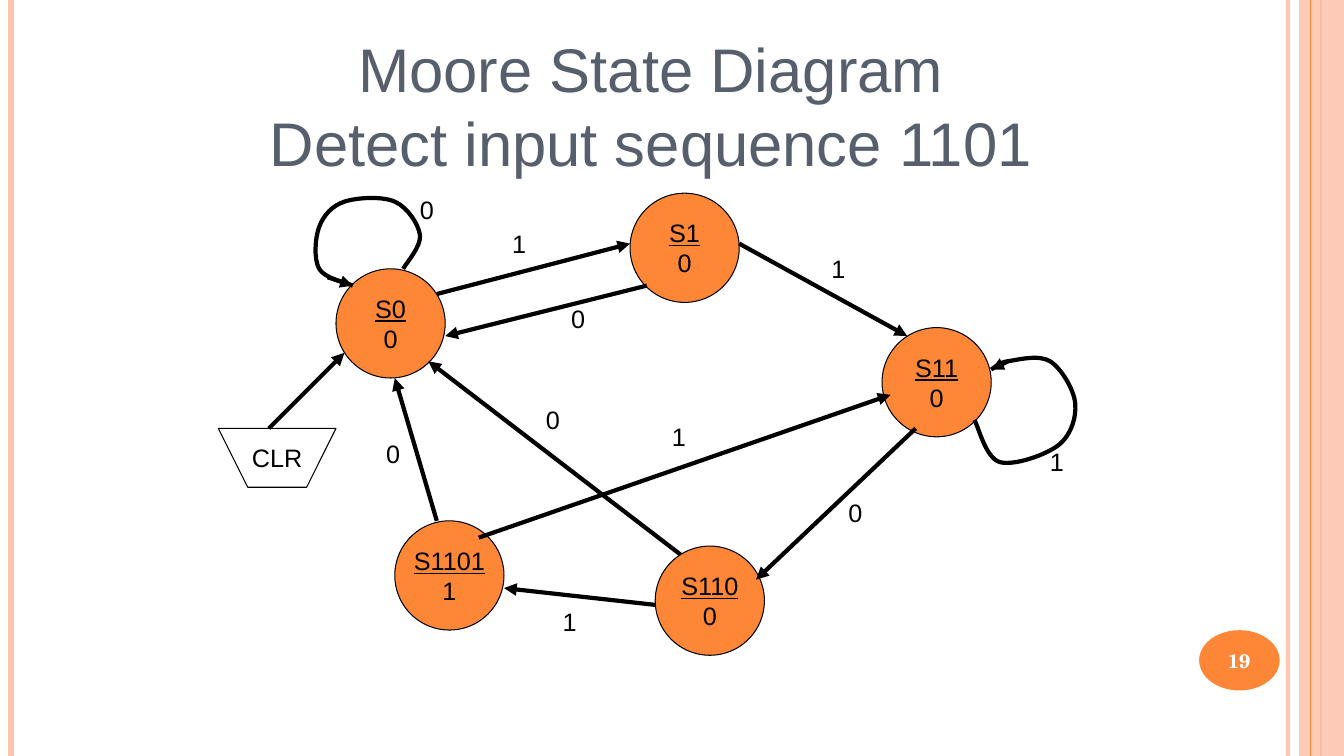
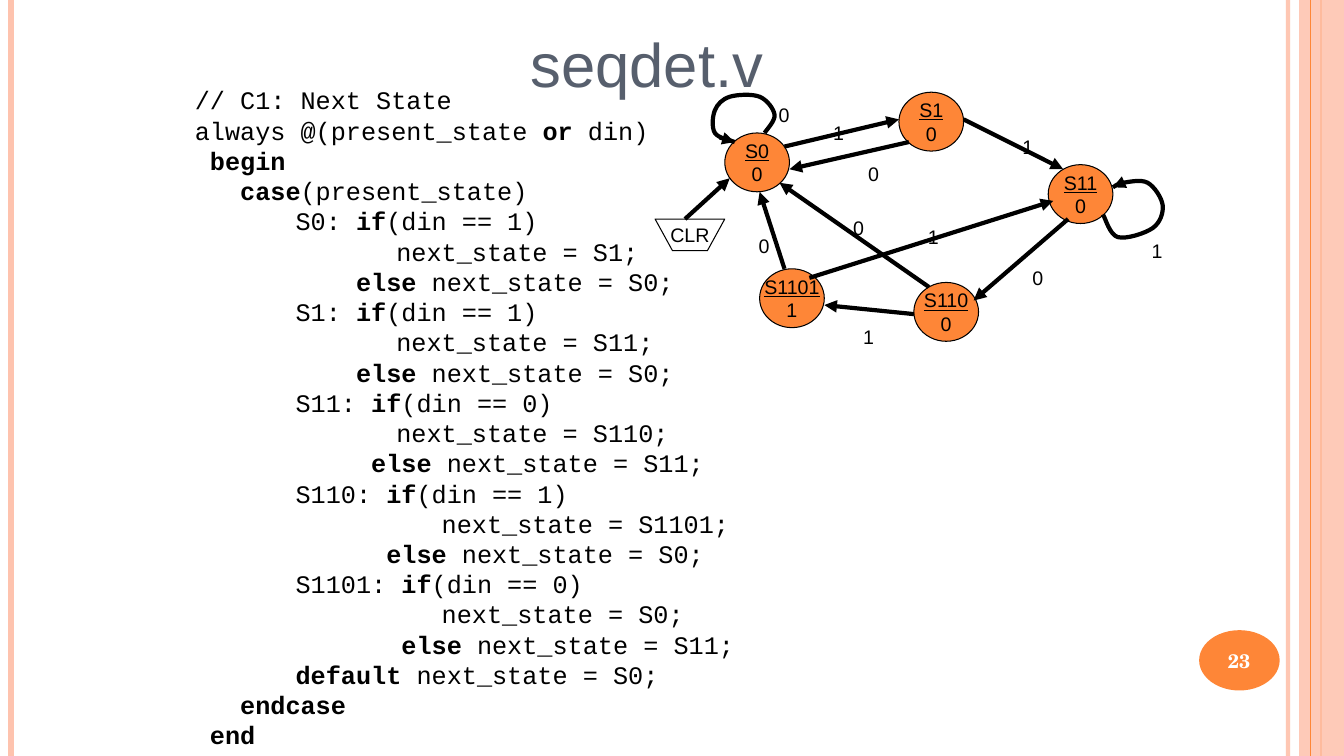
"""Build two slides on a Moore sequence detector: its state diagram and its next-state code."""
from lxml.etree import SubElement
from pptx import Presentation
from pptx.dml.color import RGBColor
from pptx.enum.shapes import MSO_CONNECTOR as CONNECTOR, MSO_SHAPE as SHAPE
from pptx.enum.text import MSO_ANCHOR as ANCHOR, PP_ALIGN as ALIGN
from pptx.oxml.ns import qn
from pptx.util import Cm, Pt

rgb = RGBColor.from_string
BLACK, WHITE, SLATE, ORANGE, PEACH = "000000", "FFFFFF", "575F6D", "FE8637", "FEC3AE"
WIDTH, HEIGHT = 33.87, 19.05

SIDE_LINES = [(32.46, PEACH, 3, 93), (0.28, PEACH, 4.5, 100), (33.3, ORANGE, 1.5, 100)]
INNER_LINE = (33.02, ORANGE, 0.75, 100)
NUMBER_BOX = (30.1, 15.93, 2.26, 1.45)

CIRCLE = 13
STATES = [("S0", "0", 40, 32), ("S1", "0", 75, 23), ("S11", "0", 105, 39),
          ("S110", "0", 78, 65), ("S1101", "1", 47, 62)]
ARROWS = [((52, 35), (75, 29)), ((88, 29), (108, 40)), ((109, 51), (90, 69)),
          ((78, 72), (60, 70)), ((52, 62), (47, 45)), ((57, 64), (106, 47)),
          ((81, 66), (51, 43)), ((77, 34), (53, 40)), ((120, 43), (118, 44)),
          ((39, 33), (42, 34)), ((32, 51), (41, 42))]
LABELS = [("1", 59.8, 26.55), ("1", 97.8, 29.55), ("0", 99.8, 58.55), ("1", 65.8, 71.55),
          ("0", 44.8, 51.55), ("1", 78.8, 49.55), ("0", 63.8, 47.55), ("0", 66.8, 35.55),
          ("1", 123.8, 52.55), ("0", 48.8, 22.55)]
LOOPS = [[(116, 50), (119, 55), (126, 53), (128, 48), (125, 43), (120, 43), (118, 44)],
         [(48, 32), (50, 28), (47, 24), (41, 24), (38, 27), (38, 32), (42, 34)]]
CLEAR_OUTLINE = [(26, 51), (29.5, 58), (36.5, 58), (40, 51)]
OUTLINES = [(CLEAR_OUTLINE, True, 0.75)] + [(loop, False, 3) for loop in LOOPS]

SLIDES = [
    {"number": "19", "title": ["Moore State Diagram", "Detect input sequence 1101"],
     "title_box": (4.24, 1.06, 24.34, 3.18), "origin": (0, 0), "unit": (0.2117, 0.2117),
     "label_drop": 0, "label_box": (0.86, 1.02), "size": 18},
    {"number": "23", "title": ["seqdet.v"],
     "title_box": (5.51, 0, 21.59, 3.18), "origin": (13.25, -0.3), "unit": (0.1254, 0.1141),
     "label_drop": 0.2, "label_box": (0.79, 0.86), "size": 14},
]

CODE = """// C1: Next State
always @(present_state *or* din)
 *begin*
   *case*(present_state)
\tS0: *if*(din == 1)
\t    \tnext_state = S1;
\t    *else *next_state = S0;
\tS1: *if*(din == 1)
\t    \tnext_state = S11;
\t    *else *next_state = S0;
\tS11: *if*(din == 0)
\t    \tnext_state = S110;
\t     *else *next_state = S11;
\tS110: *if*(din == 1)
\t    \t   next_state = S1101;
\t      *else *next_state = S0;
\tS1101: *if*(din == 0)
\t    \t   next_state = S0;
\t       *else *next_state = S11;
\t*default *next_state = S0;
   *endcase*
 *end*"""


def add_run(paragraph, text, size, color=BLACK, font="Arial", bold=False, underline=False):
    run = paragraph.add_run()
    run.text = text
    run.font.size = Pt(size)
    run.font.name = font
    run.font.bold = bold
    run.font.underline = underline
    run.font.color.rgb = rgb(color)


def add_line(slide, start, end, color, width, opacity=100, arrow=False):
    connector = slide.shapes.add_connector(
        CONNECTOR.STRAIGHT, *[Cm(length) for length in (*start, *end)])
    connector.line.color.rgb = rgb(color)
    connector.line.width = Pt(width)
    properties = connector.element.spPr
    outline = properties.find(qn("a:ln"))
    if opacity < 100:
        SubElement(outline.find(".//" + qn("a:srgbClr")), qn("a:alpha"), val=str(opacity * 1000))
    if arrow:
        SubElement(outline, qn("a:tailEnd"), type="triangle")
    SubElement(properties, qn("a:effectLst"))


presentation = Presentation()
presentation.slide_width = Cm(WIDTH)
presentation.slide_height = Cm(HEIGHT)

for content in SLIDES:
    slide = presentation.slides.add_slide(presentation.slide_layouts[6])
    shapes = slide.shapes

    for x, color, width, opacity in SIDE_LINES:
        add_line(slide, (x, 0), (x, HEIGHT), color, width, opacity)
    band = shapes.add_shape(SHAPE.RECTANGLE, Cm(32.74), 0, Cm(1.13), Cm(HEIGHT))
    band.fill.solid()
    band.fill.fore_color.rgb = rgb(PEACH)
    SubElement(band.element.spPr.find(".//" + qn("a:srgbClr")), qn("a:alpha"), val="87000")
    x, color, width, opacity = INNER_LINE
    add_line(slide, (x, 0), (x, HEIGHT), color, width, opacity)
    badge = shapes.add_shape(SHAPE.OVAL, Cm(30.22), Cm(15.88), Cm(2.03), Cm(1.52))
    badge.fill.solid()
    badge.fill.fore_color.rgb = rgb(ORANGE)
    for shape in (band, badge):
        shape.line.fill.background()
        shape.shadow.inherit = False

    for box, lines, size, color, font, bold in (
            (content["title_box"], content["title"], 44, SLATE, "Arial", False),
            (NUMBER_BOX, [content["number"]], 14, WHITE, "TeX Gyre Schola", True)):
        text_box = shapes.add_textbox(*[Cm(length) for length in box])
        text_box.text_frame.word_wrap = True
        text_box.text_frame.vertical_anchor = ANCHOR.MIDDLE
        paragraph = text_box.text_frame.paragraphs[0]
        paragraph.alignment = ALIGN.CENTER
        for index, text in enumerate(lines):
            if index:
                paragraph.add_line_break()
            add_run(paragraph, text, size, color, font, bold)

    (left, top), (unit_x, unit_y) = content["origin"], content["unit"]
    size = content["size"]

    for name, output, x, y in STATES:
        state = shapes.add_shape(SHAPE.OVAL, Cm(left + x * unit_x), Cm(top + y * unit_y),
                                 Cm(CIRCLE * unit_x), Cm(CIRCLE * unit_y))
        state.shadow.inherit = False
        state.fill.solid()
        state.fill.fore_color.rgb = rgb(ORANGE)
        state.line.color.rgb = rgb(BLACK)
        state.line.width = Pt(0.75)
        frame = state.text_frame
        frame.word_wrap = False
        frame.vertical_anchor = ANCHOR.MIDDLE
        for paragraph, text in ((frame.paragraphs[0], name), (frame.add_paragraph(), output)):
            paragraph.alignment = ALIGN.CENTER
            add_run(paragraph, text, size, underline=text == name)

    for points, closed, width in OUTLINES:
        corners = [(Cm(left + x * unit_x), Cm(top + y * unit_y)) for x, y in points]
        builder = shapes.build_freeform(*corners[0])
        builder.add_line_segments(corners[1:], close=closed)
        outline = builder.convert_to_shape()
        outline.shadow.inherit = False
        outline.fill.background()
        outline.line.color.rgb = rgb(BLACK)
        outline.line.width = Pt(width)
        if closed:
            outline.text_frame.word_wrap = False
            outline.text_frame.vertical_anchor = ANCHOR.MIDDLE
            paragraph = outline.text_frame.paragraphs[0]
            paragraph.alignment = ALIGN.CENTER
            add_run(paragraph, "CLR", size)
            continue
        outline_path = outline.element.find(".//" + qn("a:path"))
        for segment in outline_path.findall(qn("a:lnTo")):
            outline_path.remove(segment)
        knots = [(x - outline.left, y - outline.top) for x, y in corners]
        padded = [knots[0], *knots, knots[-1]]
        for before, start, end, after in zip(padded, padded[1:], padded[2:], padded[3:]):
            leaving = [s + (e - b) / 6 for b, s, e in zip(before, start, end)]
            arriving = [e - (a - s) / 6 for s, e, a in zip(start, end, after)]
            curve = SubElement(outline_path, qn("a:cubicBezTo"))
            for x, y in (leaving, arriving, end):
                SubElement(curve, qn("a:pt"), x=str(round(x)), y=str(round(y)))

    for ends in ARROWS:
        start, end = [(left + x * unit_x, top + y * unit_y) for x, y in ends]
        add_line(slide, start, end, BLACK, 3, arrow=True)

    for text, x, y in LABELS:
        label = shapes.add_textbox(
            Cm(left + x * unit_x), Cm(top + y * unit_y + content["label_drop"]),
            *[Cm(length) for length in content["label_box"]])
        label.text_frame.word_wrap = False
        add_run(label.text_frame.paragraphs[0], text, size)

code_box = slide.shapes.add_textbox(Cm(4.66), Cm(2.01), Cm(23.07), Cm(17.04))
frame = code_box.text_frame
frame.word_wrap = True
for index, code_line in enumerate(CODE.split("\n")):
    paragraph = frame.add_paragraph() if index else frame.paragraphs[0]
    paragraph.line_spacing = Pt(21.6)
    tabs = SubElement(paragraph._p.get_or_add_pPr(), qn("a:tabLst"))
    for stop in (2.54, 5.08):
        SubElement(tabs, qn("a:tab"), pos=str(Cm(stop)), algn="l")
    for part, text in enumerate(code_line.split("*")):
        if text:
            add_run(paragraph, text, 18, font="Courier New", bold=part % 2 == 1)

presentation.save("out.pptx")
